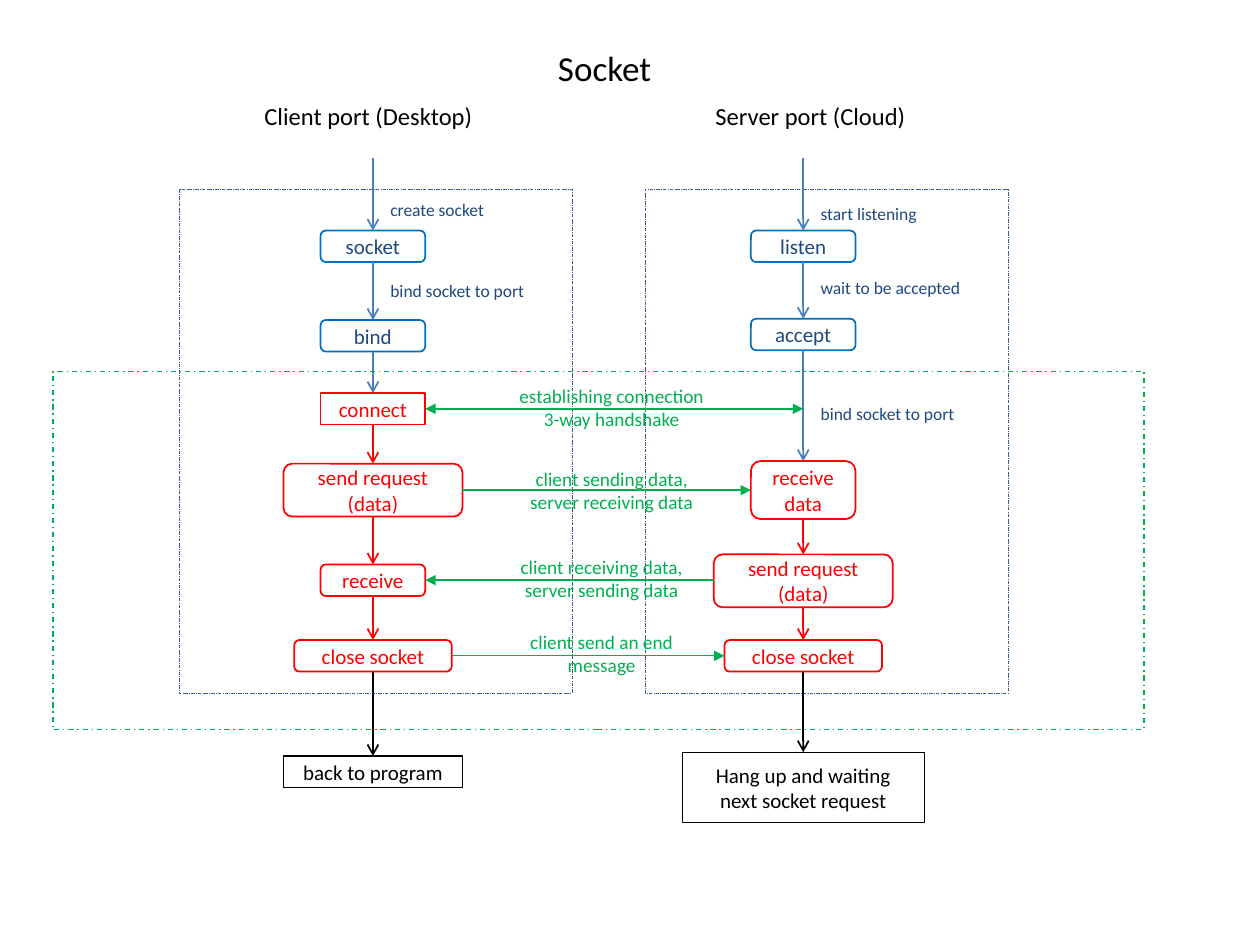
from lxml.etree import SubElement
from pptx import Presentation
from pptx.dml.color import RGBColor
from pptx.enum.dml import MSO_LINE
from pptx.enum.shapes import MSO_CONNECTOR, MSO_SHAPE
from pptx.enum.text import MSO_ANCHOR, PP_ALIGN
from pptx.oxml.ns import qn
from pptx.util import Inches, Pt

COLORS = {"navy": "1F497D", "blue": "0070C0", "steel": "4B7EBC", "frame": "3A5F8C",
          "red": "FF0000", "green": "00B050", "black": "000000"}
ROUND, SQUARE = MSO_SHAPE.ROUNDED_RECTANGLE, MSO_SHAPE.RECTANGLE

# Step styles: outline colour, text colour, colour of the arrow that leaves, line width
STYLES = {"setup": ("blue", "navy", "steel", 1),
          "transfer": ("red", "red", "red", 1),
          "end": ("black", "black", "black", 0.75)}
START_TOP = 1.25
STEP_MARGIN = 0.1  # share of the step's width

# Steps: text, top, width, height, style, outline shape
# Notes: text, top, width; frame: left, top, width, height
LANES = {
    "client": {
        "axis": 2.96,
        "title": ("Client port (Desktop)", 2, 0.75, 2.08, 0.34),
        "frame": (1.42, 1.5, 3.12, 4),
        "steps": [("socket", 1.83, 0.83, 0.25, "setup", ROUND),
                  ("bind", 2.54, 0.83, 0.25, "setup", ROUND),
                  ("connect", 3.12, 0.83, 0.25, "transfer", SQUARE),
                  ("send request (data)", 3.68, 1.42, 0.42, "transfer", ROUND),
                  ("receive", 4.48, 0.83, 0.25, "transfer", ROUND),
                  ("close socket", 5.08, 1.25, 0.25, "transfer", ROUND),
                  ("back to program", 6, 1.42, 0.25, "end", SQUARE)],
        "notes": [("create socket", 1.53, 1), ("bind socket to port", 2.17, 1.33)],
    },
    "server": {
        "axis": 6.375,
        "title": ("Server port (Cloud)", 5.58, 0.75, 1.83, 0.34),
        "frame": (5.12, 1.5, 2.88, 4),
        "steps": [("listen", 1.83, 0.83, 0.25, "setup", ROUND),
                  ("accept", 2.53, 0.83, 0.25, "setup", ROUND),
                  ("receive data", 3.66, 0.83, 0.46, "transfer", ROUND),
                  ("send request (data)", 4.4, 1.42, 0.42, "transfer", ROUND),
                  ("close socket", 5.08, 1.25, 0.25, "transfer", ROUND),
                  ("Hang up and waiting next socket request", 5.97, 1.92, 0.56, "end", SQUARE)],
        "notes": [("start listening", 1.56, 1), ("wait to be accepted", 2.15, 1.5),
                  ("bind socket to port", 3.15, 1.33)],
    },
}

# Messages: text, left, top, client step, server step (None is the lane axis),
# arrowhead at client, arrowhead at server, line width
MESSAGES = [
    ("establishing connection 3-way handshake", 4, 3, 2, None, True, True, 1),
    ("client sending data, server receiving data", 4, 3.66, 3, 2, False, True, 1),
    ("client receiving data, server sending data", 3.92, 4.36, 4, 3, True, False, 1),
    ("client send an end message", 3.92, 4.95, 5, 4, False, True, 0.75),
]
SESSION_FRAME = (0.42, 2.95, 8.66, 2.84)


def rgb(name):
    """Return the named colour."""
    return RGBColor.from_string(COLORS[name])


def write(box, text, size, color, align=PP_ALIGN.LEFT):
    """Put one formatted paragraph in a box."""
    box.text_frame.word_wrap = True
    para = box.text_frame.paragraphs[0]
    para.alignment = align
    span = para.add_run()
    span.text = text
    for key, value in {"name": "Calibri", "size": Pt(size)}.items():
        setattr(span.font, key, value)
    span.font.color.rgb = rgb(color)


def add_text(page, text, left, top, width, height, size, color, align=PP_ALIGN.LEFT):
    """Add a text box."""
    box = page.shapes.add_textbox(*map(Inches, (left, top, width, height)))
    write(box, text, size, color, align)


def add_outline(page, shape, area, color, width, dash=None):
    """Add an unfilled shape and return it."""
    box = page.shapes.add_shape(shape, *map(Inches, area))
    box.shadow.inherit = False
    box.fill.background()
    box.line.color.rgb = rgb(color)
    box.line.width = Pt(width)
    if dash:
        box.line.dash_style = dash
    return box


def add_arrow(page, start, end, color, width, head=None, tail="arrow"):
    """Draw a line with arrowheads at start (head) and end (tail)."""
    line = page.shapes.add_connector(MSO_CONNECTOR.STRAIGHT, *map(Inches, start + end))
    line.line.color.rgb = rgb(color)
    line.line.width = Pt(width)
    outline = line.line._get_or_add_ln()
    for tag, kind in (("a:headEnd", head), ("a:tailEnd", tail)):
        if kind:
            SubElement(outline, qn(tag), type=kind)
    SubElement(line._element.spPr, qn("a:effectLst"))


def add_lane(page, lane):
    """Draw the title, frame, steps, arrows and notes of one side."""
    axis = lane["axis"]
    add_outline(page, SQUARE, lane["frame"], "frame", 0.25, MSO_LINE.LONG_DASH_DOT)
    add_text(page, *lane["title"], 14, "black")
    bottom, arrow_color = START_TOP, "steel"
    for text, top, width, height, style, shape in lane["steps"]:
        border, ink, next_color, weight = STYLES[style]
        box = add_outline(page, shape, (axis - width / 2, top, width, height), border, weight)
        margin = Inches(width * STEP_MARGIN)
        for key, value in {"vertical_anchor": MSO_ANCHOR.MIDDLE,
                           "margin_left": margin, "margin_right": margin}.items():
            setattr(box.text_frame, key, value)
        write(box, text, 12, ink, PP_ALIGN.CENTER)
        color = next_color if style == "end" else arrow_color
        add_arrow(page, (axis, bottom), (axis, top), color, 1)
        bottom, arrow_color = top + height, next_color
    for text, top, width in lane["notes"]:
        add_text(page, text, axis + 0.04, top, width, 0.27, 10, "navy")


def add_message(page, text, left, top, client_step, server_step, to_client, to_server, weight):
    """Draw an arrow between the lanes with its caption."""
    client, server = LANES["client"], LANES["server"]
    step_top, step_width, step_height = client["steps"][client_step][1:4]
    middle = step_top + step_height / 2
    server_width = 0 if server_step is None else server["steps"][server_step][2]
    add_arrow(page, (client["axis"] + step_width / 2, middle),
              (server["axis"] - server_width / 2, middle), "green", weight,
              "triangle" if to_client else None, "triangle" if to_server else None)
    add_text(page, text, left, top, 1.71, 0.47, 11, "green", PP_ALIGN.CENTER)


deck = Presentation()
deck.slide_width, deck.slide_height = Inches(10), Inches(7.5)
page = deck.slides.add_slide(deck.slide_layouts[6])
for lane in LANES.values():
    add_lane(page, lane)
for message in MESSAGES:
    add_message(page, *message)
add_outline(page, SQUARE, SESSION_FRAME, "green", 0.75, MSO_LINE.DASH_DOT)
add_text(page, "Socket", 4.33, 0.32, 1.02, 0.44, 20, "black")
deck.save("out.pptx")
